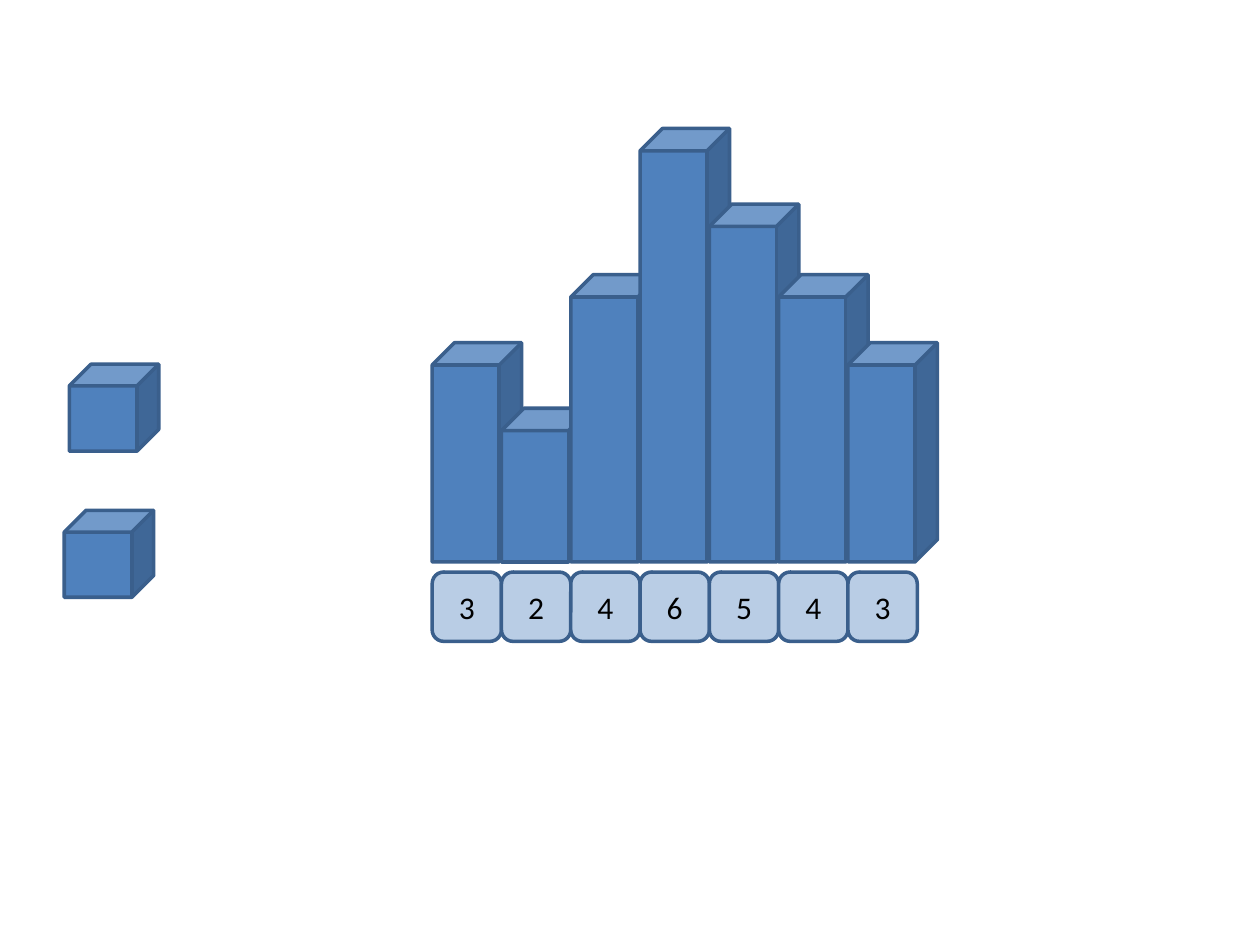
from pptx import Presentation
from pptx.dml.color import RGBColor
from pptx.enum.shapes import MSO_SHAPE
from pptx.enum.text import MSO_ANCHOR, PP_ALIGN
from pptx.util import Inches, Pt

BLUE = RGBColor(0x4F, 0x81, 0xBD)
PALE = RGBColor(0xB9, 0xCD, 0xE5)
EDGE = RGBColor(0x3A, 0x5F, 0x8C)
BLACK = RGBColor(0, 0, 0)

COLS, ROWS = 100, 75
LEFT, STEP = 34.3, 5.5
BASE, CELL = 44.6, 45.4
WIDE, UNIT = 7.1, 6.9
VALUES = [3, 2, 4, 6, 5, 4, 3]
TALL = {2: 12.2, 3: 17.4, 4: 22.8, 5: 28.4, 6: 34.4}
LOOSE = [(5.1, 40.5), (5.5, 28.9)]


class Board:
    font = "Calibri"
    size = Pt(18)
    edge = Pt(2)

    def __init__(self, deck):
        self.slide = deck.slides.add_slide(deck.slide_layouts[6])
        self.col = deck.slide_width / COLS
        self.row = deck.slide_height / ROWS

    def shape(self, kind, x, y, w, h, fill):
        item = self.slide.shapes.add_shape(
            kind, round(x * self.col), round(y * self.row),
            round(w * self.col), round(h * self.row))
        item.shadow.inherit = False
        item.fill.solid()
        item.fill.fore_color.rgb = fill
        item.line.color.rgb = EDGE
        item.line.width = self.edge
        return item

    def cube(self, x, y, h):
        self.shape(MSO_SHAPE.CUBE, x, y, WIDE, h, BLUE)

    def label(self, x, y, text):
        item = self.shape(MSO_SHAPE.ROUNDED_RECTANGLE, x, y, STEP, STEP, PALE)
        frame = item.text_frame
        frame.text = text
        frame.vertical_anchor = MSO_ANCHOR.MIDDLE
        line = frame.paragraphs[0]
        line.alignment = PP_ALIGN.CENTER
        font = line.runs[0].font
        font.name = self.font
        font.size = self.size
        font.color.rgb = BLACK


def main():
    deck = Presentation()
    deck.slide_width, deck.slide_height = Inches(10), Inches(7.5)
    board = Board(deck)
    for i, value in enumerate(VALUES):
        x = LEFT + i * STEP
        board.label(x, CELL, str(value))
        board.cube(x, BASE - TALL[value], TALL[value])
    for x, y in LOOSE:
        board.cube(x, y, UNIT)
    deck.save("out.pptx")


if __name__ == "__main__":
    main()
